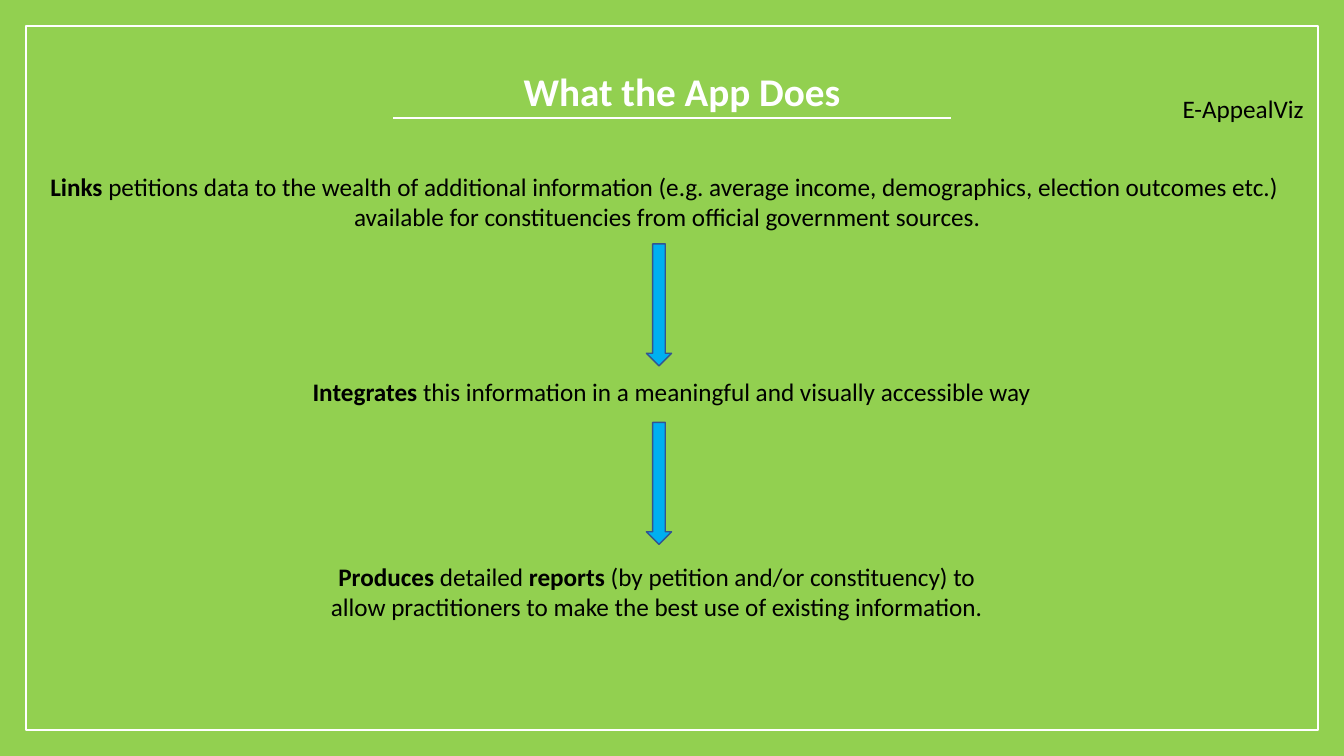
from pptx import Presentation
from pptx import util as u
from pptx.dml.color import RGBColor
from pptx.enum import shapes, text
from pptx.oxml.ns import qn
from lxml import etree

COLORS = {"green": "92D050", "white": "FFFFFF", "black": "000000",
          "blue": "00B0F0", "navy": "325491"}
CENTER, LEFT = text.PP_ALIGN.CENTER, text.PP_ALIGN.LEFT
STEPS = [
    (-6.5, 0, 966.3, [
        [("Links", True), (" petitions data to the wealth of additional information "
                           "(e.g. average income, demographics, election outcomes etc.) ", False)],
        [("available for constituencies from official government sources.", False)]]),
    (36.8, 146.2, 886, [
        [("Integrates", True),
         (" this information in a meaningful and visually accessible way", False)]]),
    (229, 278.6, 480.2, [
        [("Produces", True), (" detailed ", False), ("reports ", True),
         ("(by petition and/or constituency) to", False)],
        [("allow practitioners to make the best use of existing information.", False)]]),
]


def rgb(name):
    """Return the named colour."""
    return RGBColor.from_string(COLORS[name])


def set_line(sp, color, width):
    """Give a shape or connector a solid line."""
    sp.line.color.rgb = rgb(color)
    sp.line.width = u.Pt(width)


def add_text(s, box, paragraphs, size=18, color="black", para=None):
    """Write paragraphs of (words, bold) runs in a text box."""
    sp = s.shapes.add_textbox(*map(u.Pt, box))
    tf = sp.text_frame
    tf.word_wrap = True
    tf.auto_size = text.MSO_AUTO_SIZE.SHAPE_TO_FIT_TEXT
    for i, runs in enumerate(paragraphs):
        p = tf.add_paragraph() if i else tf.paragraphs[0]
        for key, value in (para or {"alignment": CENTER}).items():
            setattr(p, key, value)
        for words, bold in runs:
            r = p.add_run()
            r.text = words
            for key, value in {"name": "Calibri", "size": u.Pt(size), "bold": bold}.items():
                setattr(r.font, key, value)
            r.font.color.rgb = rgb(color)


def add_frame(s, x, y, w, h):
    """Draw the white border."""
    sp = s.shapes.add_shape(shapes.MSO_SHAPE.RECTANGLE, *map(u.Pt, (x, y, w, h)))
    sp.shadow.inherit = False
    sp.fill.background()
    set_line(sp, "white", 1.5)


def add_header(s, x, y, w, h):
    """Place the underlined title and the app name."""
    add_text(s, (x + 236.9, y, 500.4, h), [[("What the App Does", True)]], 28, "white",
             {"alignment": CENTER, "line_spacing": 1.07, "space_after": u.Pt(8)})
    rule = s.shapes.add_connector(shapes.MSO_CONNECTOR.STRAIGHT, *map(
        u.Pt, (x + 280.8, y + h, x + 679, y + h)))
    set_line(rule, "white", 1.5)
    etree.SubElement(rule._element.spPr, qn("a:effectLst"))
    add_text(s, (x + w - 122.4, y + 20.9, 122.4, 28.8), [[("E-AppealViz", False)]],
             para={"alignment": LEFT})


def add_flow(s, x, y, w, h):
    """Stack the three steps with a down arrow between each pair."""
    for dx, dy, width, paragraphs in STEPS:
        height = 7.2 + 22 * len(paragraphs)
        add_text(s, (x + dx, y + dy, width, height), paragraphs)
    for i in range(len(STEPS) - 1):
        sp = s.shapes.add_shape(shapes.MSO_SHAPE.DOWN_ARROW, *map(
            u.Pt, (x + w / 2 - 18.3, y + 55.4 + 127.5 * i, 18, 87.1)))
        sp.shadow.inherit = False
        sp.fill.solid()
        sp.fill.fore_color.rgb = rgb("blue")
        set_line(sp, "navy", 1)


def main():
    """Build and save the slide."""
    prs = Presentation()
    prs.slide_width, prs.slide_height = u.Pt(960), u.Pt(540)
    s = prs.slides.add_slide(prs.slide_layouts[6])
    s.background.fill.solid()
    s.background.fill.fore_color.rgb = rgb("green")
    add_frame(s, 18.7, 18.7, 922.6, 502.6)
    add_header(s, 0, 42.5, 960, 41.8)
    add_flow(s, 0, 118.8, 960, 340)
    prs.save("out.pptx")


if __name__ == "__main__":
    main()
